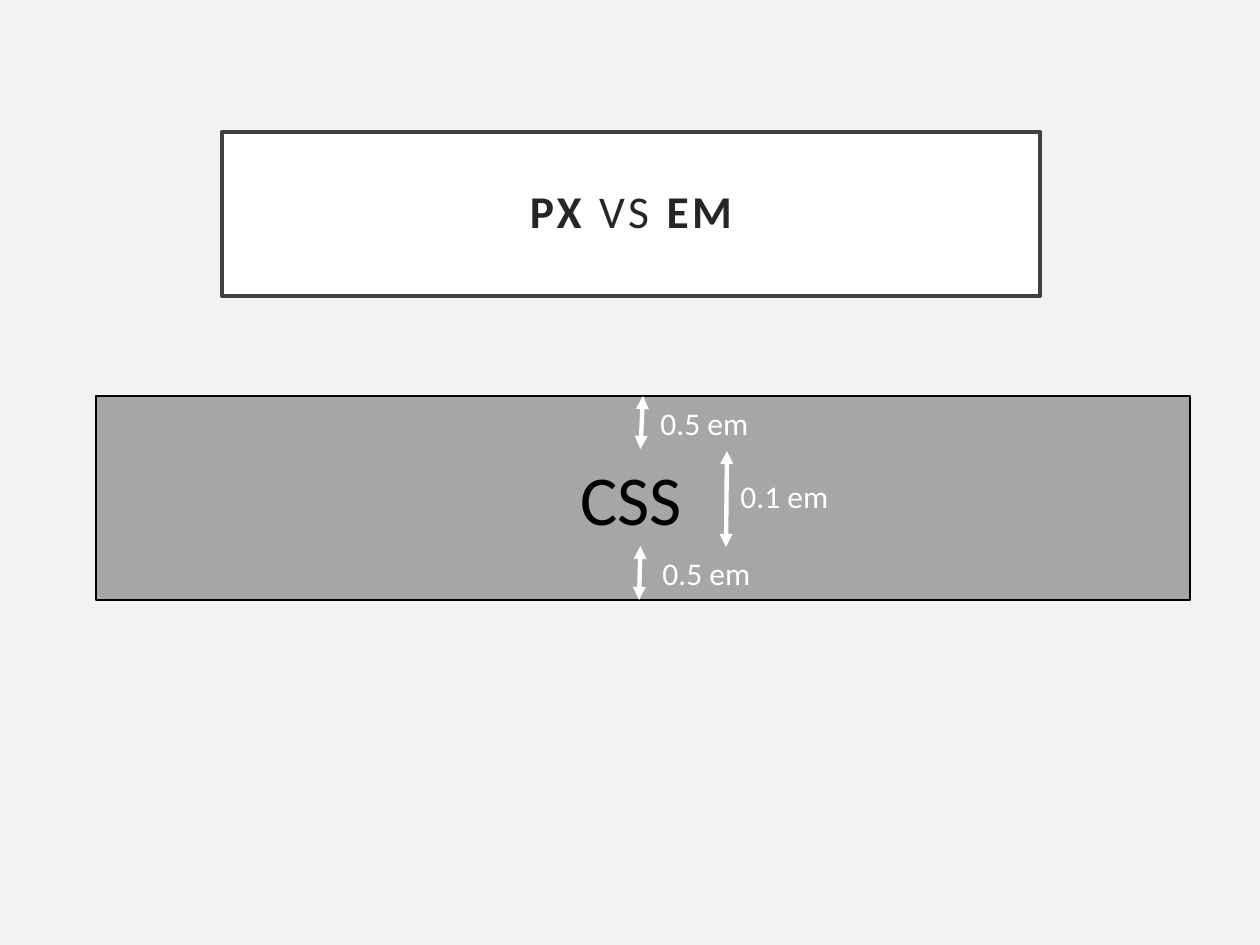
from dataclasses import dataclass
from typing import Optional

from lxml import etree
from pptx import Presentation
from pptx.dml.color import RGBColor
from pptx.enum.shapes import MSO_CONNECTOR, MSO_SHAPE
from pptx.enum.text import MSO_ANCHOR, MSO_AUTO_SIZE, PP_ALIGN
from pptx.oxml.ns import qn
from pptx.util import Emu, Pt

RECTANGLE = MSO_SHAPE.RECTANGLE
STRAIGHT = MSO_CONNECTOR.STRAIGHT
MIDDLE = MSO_ANCHOR.MIDDLE
CENTER = PP_ALIGN.CENTER
NO_FIT = MSO_AUTO_SIZE.NONE
GROW = MSO_AUTO_SIZE.SHAPE_TO_FIT_TEXT
TOP, BOTTOM = 0, 2
PX_PER_INCH = 126
FONT = "Calibri"
WHITE = "FFFFFF"


@dataclass
class Label:
    text: str
    x: int
    y: int
    w: int = 135
    h: int = 50
    size: int = 18
    color: str = WHITE


@dataclass
class Arrow:
    x1: int
    y1: int
    x2: int
    y2: int
    begin: Optional[tuple] = None
    end: Optional[tuple] = None


def px(n: int) -> Emu:
    return Emu(round(n * 914400 / PX_PER_INCH))


def rgb(color: str) -> RGBColor:
    return RGBColor.from_string(color)


def style_box(sp, fill: str, line: str, width: float) -> None:
    sp.fill.solid()
    sp.fill.fore_color.rgb = rgb(fill)
    sp.line.color.rgb = rgb(line)
    sp.line.width = Pt(width)
    sp.shadow.inherit = False


def style_run(r, size: int, color: str, bold: bool = False) -> None:
    r.font.name = FONT
    r.font.size = Pt(size)
    r.font.bold = bold
    r.font.color.rgb = rgb(color)


def add_title(s) -> None:
    sp = s.shapes.title
    sp.left, sp.top, sp.width, sp.height = px(222), px(132), px(818), px(164)
    style_box(sp, WHITE, "404040", 2.5)
    tf = sp.text_frame
    tf.word_wrap = True
    tf.auto_size = NO_FIT
    tf.vertical_anchor = MIDDLE
    tf.margin_left = tf.margin_right = tf.margin_top = tf.margin_bottom = px(25)
    p = tf.paragraphs[0]
    p.alignment = CENTER
    p.line_spacing = 0.9
    for text, bold in (("PX", True), (" VS ", False), ("EM", True)):
        r = p.add_run()
        r.text = text
        style_run(r, 26, "262626", bold)
        r.font._element.set("spc", "200")


def add_label(s, label: Label):
    sp = s.shapes.add_textbox(px(label.x), px(label.y), px(label.w), px(label.h))
    tf = sp.text_frame
    tf.word_wrap = True
    tf.auto_size = GROW
    tf.text = label.text
    style_run(tf.paragraphs[0].runs[0], label.size, label.color)
    return sp


def add_arrow(s, arrow: Arrow) -> None:
    sp = s.shapes.add_connector(
        STRAIGHT, px(arrow.x1), px(arrow.y1), px(arrow.x2), px(arrow.y2)
    )
    if arrow.begin:
        sp.begin_connect(*arrow.begin)
    if arrow.end:
        sp.end_connect(*arrow.end)
    sp.line.color.rgb = rgb(WHITE)
    sp.line.width = Pt(2.5)
    ln = sp.line._get_or_add_ln()
    for tag in ("a:headEnd", "a:tailEnd"):
        etree.SubElement(ln, qn(tag), type="triangle")
    etree.SubElement(sp._element.spPr, qn("a:effectLst"))


def main() -> None:
    prs = Presentation()
    prs.slide_width, prs.slide_height = px(1260), px(945)
    s = prs.slides.add_slide(prs.slide_layouts[5])
    s.background.fill.solid()
    s.background.fill.fore_color.rgb = rgb("F2F2F2")

    add_title(s)
    band = s.shapes.add_shape(RECTANGLE, px(96), px(396), px(1094), px(204))
    style_box(band, "A6A6A6", "000000", 0.75)
    css = add_label(s, Label("CSS", 568, 449, 145, 97, 40, "000000"))

    arrows = [
        Arrow(643, 396, 640, 449, begin=(band, TOP), end=(css, TOP)),
        Arrow(640, 546, 639, 600, begin=(css, BOTTOM)),
        Arrow(727, 451, 726, 547),
    ]
    for arrow in arrows:
        add_arrow(s, arrow)

    labels = [
        Label("0.5 em", 648, 398),
        Label("0.5 em", 650, 548),
        Label("0.1 em", 728, 471),
    ]
    for label in labels:
        add_label(s, label)

    prs.save("out.pptx")


if __name__ == "__main__":
    main()
